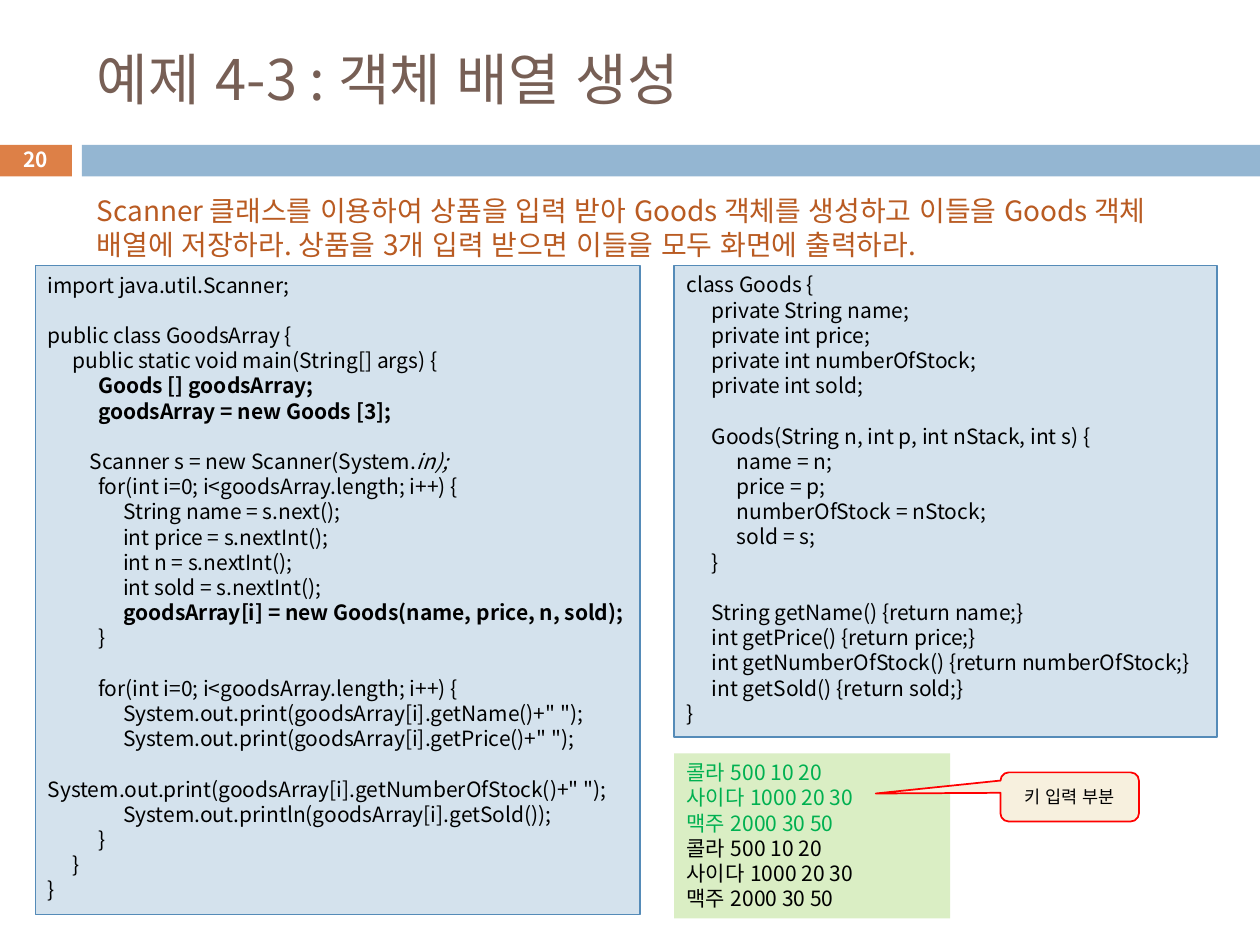
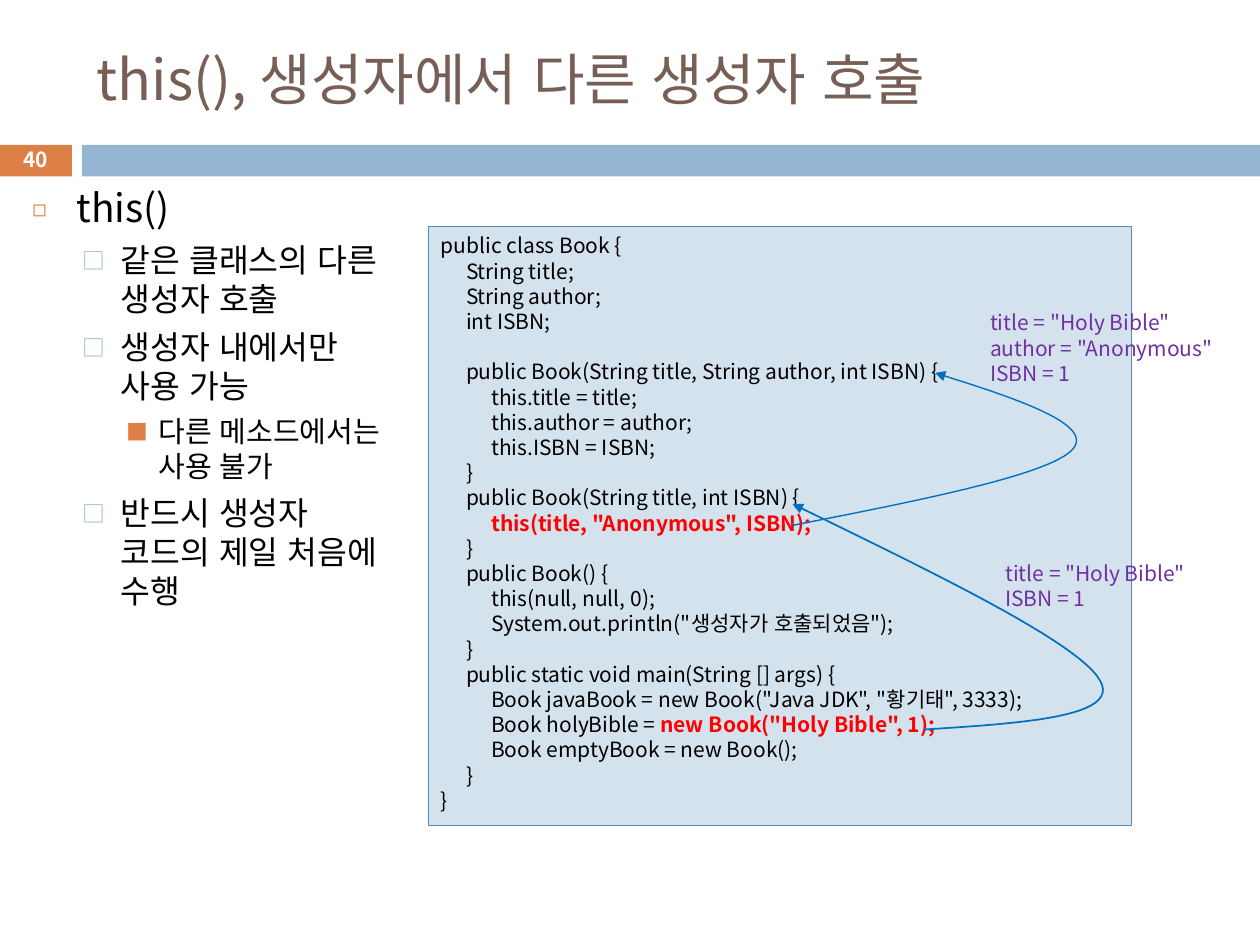
import dataclasses

import lxml.etree
import pptx
import pptx.dml.color
import pptx.enum.lang
import pptx.enum.shapes
import pptx.enum.text
import pptx.oxml.ns
import pptx.util

Inches = pptx.util.Inches
Pt = pptx.util.Pt
SHAPE = pptx.enum.shapes.MSO_SHAPE
MIDDLE = pptx.enum.text.MSO_ANCHOR.MIDDLE
TOP = pptx.enum.text.MSO_ANCHOR.TOP
LEFT = pptx.enum.text.PP_ALIGN.LEFT
CENTER = pptx.enum.text.PP_ALIGN.CENTER


@dataclasses.dataclass(frozen=True)
class Theme:
    face: str = "Noto Sans CJK KR"
    black: str = "000000"
    white: str = "FFFFFF"
    brown: str = "775F55"
    orange: str = "DD8047"
    blue: str = "94B6D2"
    rust: str = "B95B22"
    panel: str = "D4E2ED"
    edge: str = "558BB8"
    lime: str = "DAEEC4"
    green: str = "00B050"
    cream: str = "F7F0DE"
    red: str = "FF0000"
    arrow: str = "0070C0"
    purple: str = "7030A0"
    head: float = 32
    task: float = 16
    code: float = 12
    page: float = 11.9
    call: float = 10
    pitch: float = 1.2
    tab: float = 0.2


THEME = Theme()

# Per level: size, indent, hang, space before, mark, mark colour, mark percent
LEVELS = [
    (22.2, 0.35, 0.35, 7, "◻", THEME.orange, 60),
    (18.5, 0.7, 0.3, 5.5, "□", THEME.blue, 70),
    (16.6, 1, 0.25, 5, "■", THEME.orange, 75),
]


def rgb(text):
    return pptx.dml.color.RGBColor.from_string(text)


def node(parent, tag, **attrs):
    item = lxml.etree.SubElement(parent, pptx.oxml.ns.qn(tag))
    for key, value in attrs.items():
        item.set(key, str(value))
    return item


class Deck:
    def __init__(self, theme):
        self.theme = theme
        self.prs = pptx.Presentation()
        self.prs.slide_width = Inches(10)
        self.prs.slide_height = Inches(7.5)
        self.slide = None

    def page(self, title, number):
        """Start a slide with its title, bands and number."""
        t = self.theme
        self.slide = self.prs.slides.add_slide(self.prs.slide_layouts[6])
        self.shape((-0.01, 1.15, 0.58, 0.25), t.orange)
        self.shape((0.65, 1.15, 9.35, 0.25), t.blue)
        self.text((0.67, 0.25, 8.92, 0.74), [title], t.head, t.brown, anchor=MIDDLE)
        self.text((-0.01, 1.13, 0.58, 0.27), [str(number)], t.page, t.white,
                  anchor=MIDDLE, align=CENTER, bold=True)

    def font(self, para, size, color, bold=None):
        font = para.font
        font.size = Pt(size)
        font.color.rgb = rgb(color)
        font.bold = bold
        font.name = self.theme.face
        font.language_id = pptx.enum.lang.MSO_LANGUAGE_ID.KOREAN
        node(font._element, "a:ea", typeface=self.theme.face)
        para.line_spacing = Pt(round(size * self.theme.pitch, 1))

    def fill(self, frame, lines, size, color, anchor=TOP, align=LEFT,
             bold=None, tabs=False, wrap=True):
        """Write lines; a line is a string or a list of (text, style) parts."""
        frame.word_wrap = wrap
        frame.vertical_anchor = anchor
        for i, line in enumerate(lines):
            para = frame.paragraphs[0] if i == 0 else frame.add_paragraph()
            para.alignment = align
            if tabs:
                stops = node(para._p.get_or_add_pPr(), "a:tabLst")
                for n in range(1, 5):
                    node(stops, "a:tab", pos=Inches(n * self.theme.tab), algn="l")
            self.font(para, size, color, bold)
            parts = [(line, {})] if isinstance(line, str) else line
            for text, style in parts:
                if not text:
                    continue
                run = para.add_run()
                run.text = text
                run.font.bold = style.get("bold")
                run.font.italic = style.get("italic")
                if "color" in style:
                    run.font.color.rgb = rgb(style["color"])

    def text(self, box, lines, size, color, **style):
        item = self.slide.shapes.add_textbox(*map(Inches, box))
        self.fill(item.text_frame, lines, size, color, **style)

    def shape(self, box, color, edge=None, width=0.75, kind=SHAPE.RECTANGLE):
        item = self.slide.shapes.add_shape(kind, *map(Inches, box))
        item.shadow.inherit = False
        item.fill.solid()
        item.fill.fore_color.rgb = rgb(color)
        if edge:
            item.line.color.rgb = rgb(edge)
            item.line.width = Pt(width)
        else:
            item.line.fill.background()
        return item

    def code(self, box, lines):
        t = self.theme
        item = self.shape(box, t.panel, t.edge)
        self.fill(item.text_frame, lines, t.code, t.black, tabs=True)

    def callout(self, box, text, tip):
        t = self.theme
        item = self.shape(box, t.cream, t.red, 1, SHAPE.ROUNDED_RECTANGULAR_CALLOUT)
        for i, value in enumerate(tip):
            item.adjustments[i] = value
        self.fill(item.text_frame, [text], t.call, t.black, anchor=MIDDLE, align=CENTER)

    def bullets(self, box, items):
        frame = self.slide.shapes.add_textbox(*map(Inches, box)).text_frame
        frame.word_wrap = True
        frame.margin_right = Inches(0.2)
        for i, (level, text) in enumerate(items):
            size, indent, hang, before, mark, color, scale = LEVELS[level]
            para = frame.paragraphs[0] if i == 0 else frame.add_paragraph()
            para.text = text
            para.level = level
            props = para._p.get_or_add_pPr()
            props.set("marL", str(Inches(indent)))
            props.set("indent", str(-Inches(hang)))
            node(node(props, "a:buClr"), "a:srgbClr", val=color)
            node(props, "a:buSzPct", val=scale * 1000)
            node(props, "a:buFont", typeface=self.theme.face)
            node(props, "a:buChar", char=mark)
            self.font(para, size, self.theme.black)
            if i:
                para.space_before = Pt(before)

    def curve(self, start, *arcs, width=1, steps=24):
        """Draw joined cubic arcs, with an arrowhead at the end."""
        points, a = [], start
        for b, c, d in arcs:
            for n in range(1, steps + 1):
                u = n / steps
                v = 1 - u
                points.append(tuple(
                    Inches(v**3 * p + 3 * v * v * u * q + 3 * v * u * u * r + u**3 * s)
                    for p, q, r, s in zip(a, b, c, d)))
            a = d
        form = self.slide.shapes.build_freeform(*map(Inches, start))
        form.add_line_segments(points, close=False)
        item = form.convert_to_shape()
        item.shadow.inherit = False
        item.fill.background()
        item.line.color.rgb = rgb(self.theme.arrow)
        item.line.width = Pt(width)
        node(item.line._get_or_add_ln(), "a:tailEnd", type="triangle")


BOLD = {"bold": True}
HOT = {"bold": True, "color": THEME.red}


def goods(deck):
    t = deck.theme
    deck.page("예제 4-3 : 객체 배열 생성", 20)
    deck.text((0.67, 1.49, 8.56, 0.64), [
        "Scanner 클래스를 이용하여 상품을 입력 받아 Goods 객체를 생성하고 이들을 Goods "
        "객체 배열에 저장하라. 상품을 3개 입력 받으면 이들을 모두 화면에 출력하라.",
    ], t.task, t.rust)

    # Main program
    loop = "\t\tfor(int i=0; i<goodsArray.length; i++) {"
    deck.code((0.28, 2.11, 4.8, 5.15), [
        "import java.util.Scanner;",
        "",
        "public class GoodsArray {",
        "\tpublic static void main(String[] args) {",
        [("\t\tGoods [] goodsArray;", BOLD)],
        [("\t\tgoodsArray = new Goods [3];", BOLD)],
        "",
        [("         Scanner s = new Scanner(System.", {}), ("in);", {"italic": True})],
        loop,
        "\t\t\tString name = s.next();",
        "\t\t\tint price = s.nextInt();",
        "\t\t\tint n = s.nextInt();",
        "\t\t\tint sold = s.nextInt();",
        [("\t\t\tgoodsArray[i] = new Goods(name, price, n, sold);", BOLD)],
        "\t\t}",
        "",
        loop,
        '\t\t\tSystem.out.print(goodsArray[i].getName()+" ");',
        '\t\t\tSystem.out.print(goodsArray[i].getPrice()+" ");',
        '\t\t\tSystem.out.print(goodsArray[i].getNumberOfStock()+" ");',
        "\t\t\tSystem.out.println(goodsArray[i].getSold());",
        "\t\t}",
        "\t}",
        "}",
    ])

    # Goods class
    deck.code((5.35, 2.11, 4.31, 3.74), [
        "class Goods {",
        "\tprivate String name;",
        "\tprivate int price;",
        "\tprivate int numberOfStock;",
        "\tprivate int sold;",
        "",
        "\tGoods(String n, int p, int nStack, int s) {",
        "\t\tname = n;",
        "\t\tprice = p;",
        "\t\tnumberOfStock = nStock;",
        "\t\tsold = s;",
        "\t}",
        "",
        "\tString getName() {return name;}",
        "\tint getPrice() {return price;}",
        "\tint getNumberOfStock() {return numberOfStock;}",
        "\tint getSold() {return sold;}",
        "}",
    ])

    # Console: typed rows, then the same rows printed
    rows = ["콜라 500 10 20", "사이다 1000 20 30", "맥주 2000 30 50"]
    typed = [[(row, {"color": t.green})] for row in rows]
    shell = deck.shape((5.35, 5.98, 2.19, 1.31), t.lime)
    deck.fill(shell.text_frame, typed + rows, t.code, t.black)
    deck.callout((7.94, 6.13, 1.1, 0.39), "키 입력 부분", (-1.4, -0.07, 0.17))


def book(deck):
    t = deck.theme
    deck.page("this(), 생성자에서 다른 생성자 호출", 40)
    deck.bullets((0.16, 1.41, 3.13, 3.29), [
        (0, "this()"),
        (1, "같은 클래스의 다른 생성자 호출"),
        (1, "생성자 내에서만 사용 가능"),
        (2, "다른 메소드에서는 사용 불가"),
        (1, "반드시 생성자 코드의 제일 처음에 수행"),
    ])

    # Book class
    deck.code((3.4, 1.8, 5.58, 4.75), [
        "public class Book {",
        "\tString title;",
        "\tString author;",
        "\tint ISBN;",
        "",
        "\tpublic Book(String title, String author, int ISBN) {",
        "\t\tthis.title = title;",
        "\t\tthis.author = author;",
        "\t\tthis.ISBN = ISBN;",
        "\t}",
        "\tpublic Book(String title, int ISBN) {",
        [('\t\tthis(title, "Anonymous", ISBN);', HOT)],
        "\t}",
        "\tpublic Book() {",
        "\t\tthis(null, null, 0);",
        '\t\tSystem.out.println("생성자가 호출되었음");',
        "\t}",
        "\tpublic static void main(String [] args) {",
        '\t\tBook javaBook = new Book("Java JDK", "황기태", 3333);',
        [("\t\tBook holyBible = ", {}), ('new Book("Holy Bible", 1);', HOT)],
        "\t\tBook emptyBook = new Book();",
        "\t}",
        "}",
    ])

    # Calls between constructors, with the values passed
    deck.curve((6.29, 4.17),
               ((7.31, 3.97), (8.32, 3.77), (8.51, 3.57)),
               ((8.7, 3.37), (8.06, 3.16), (7.42, 2.96)), width=0.79)
    deck.curve((7.33, 5.79),
               ((8.12, 5.74), (8.9, 5.69), (8.73, 5.4)),
               ((8.56, 5.1), (7.42, 4.55), (6.29, 4)))
    name, isbn = 'title = "Holy Bible"', "ISBN = 1"
    deck.text((7.88, 4.4, 1.63, 0.5), [name, isbn], t.code, t.purple, wrap=False)
    deck.text((7.76, 2.41, 2.13, 0.71), [name, 'author = "Anonymous"', isbn],
              t.code, t.purple)


def main():
    deck = Deck(THEME)
    goods(deck)
    book(deck)
    deck.prs.save("out.pptx")


if __name__ == "__main__":
    main()
